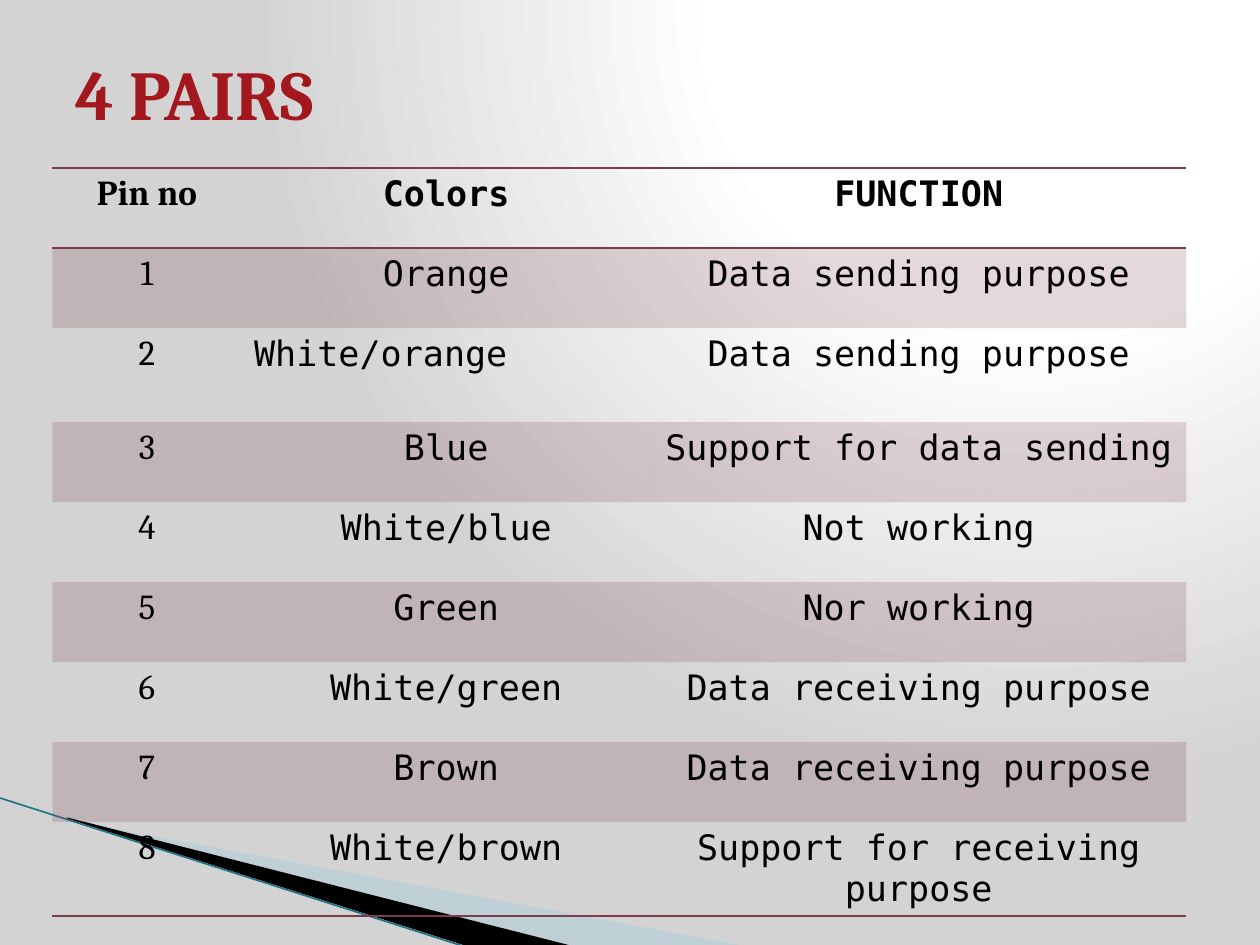
from dataclasses import dataclass

from lxml import etree
from pptx import Presentation
from pptx.dml.color import RGBColor
from pptx.enum.shapes import MSO_CONNECTOR
from pptx.enum.text import MSO_ANCHOR, PP_ALIGN
from pptx.oxml import parse_xml
from pptx.oxml.ns import nsdecls, qn
from pptx.util import Pt

LEFT = PP_ALIGN.LEFT
CENTER = PP_ALIGN.CENTER
MIDDLE = MSO_ANCHOR.MIDDLE
STRAIGHT = MSO_CONNECTOR.STRAIGHT

BLACK = RGBColor(0x00, 0x00, 0x00)
RED = RGBColor(0xA3, 0x17, 0x1E)
MAROON = RGBColor(0x7D, 0x3C, 0x4A)
PALE_BLUE = RGBColor(0xA0, 0xCB, 0xDC)
TEAL = RGBColor(0x1F, 0x74, 0x89)

SERIF = "Cambria"
MONO = "DejaVu Sans Mono"
PLAIN_TABLE_STYLE = "{2D5ABB26-0587-4C30-8999-92F81FD0307C}"
COLUMN_WIDTHS = (108, 234, 306)
ROW_HEIGHT = 45.75
TALL_ROW_HEIGHT = 53.7


@dataclass
class Wedge:
    points: list[tuple[float, float]]
    color: RGBColor
    opacity: int


@dataclass
class Pin:
    number: str
    color: str
    function: str
    height: float = ROW_HEIGHT
    color_alignment: PP_ALIGN = CENTER


WEDGES = [
    Wedge([(39.6, 468.72), (428.4, 540.72), (328.32, 540.72), (39.6, 468)], PALE_BLUE, 40),
    Wedge([(38.16, 467.28), (329.04, 540.72), (267.84, 541.44), (38.88, 468)], BLACK, 100),
]

PINS = [
    Pin("Pin no", "Colors", "FUNCTION"),
    Pin("1", "Orange", "Data sending purpose"),
    Pin("2", "White/orange", "Data sending purpose", TALL_ROW_HEIGHT, LEFT),
    Pin("3", "Blue", "Support for data sending"),
    Pin("4", "White/blue", "Not working"),
    Pin("5", "Green", "Nor working"),
    Pin("6", "White/green", "Data receiving purpose"),
    Pin("7", "Brown", "Data receiving purpose"),
    Pin("8", "White/brown", "Support for receiving purpose", TALL_ROW_HEIGHT),
]


def set_background(slide) -> None:
    stops = "".join(
        f'<a:gs pos="{position * 1000}"><a:srgbClr val="{color}"/></a:gs>'
        for position, color in ((0, "FFFFFF"), (40, "FFFFFF"), (100, "D3D3D3"))
    )
    slide.element.cSld.insert(0, parse_xml(
        f'<p:bg {nsdecls("p", "a")}><p:bgPr><a:gradFill rotWithShape="1">'
        f'<a:gsLst>{stops}</a:gsLst><a:path path="circle">'
        '<a:fillToRect l="65000" b="98000"/></a:path></a:gradFill>'
        '<a:effectLst/></p:bgPr></p:bg>'
    ))


def set_opacity(properties, percent: int) -> None:
    color = properties.find(f'{qn("a:solidFill")}/{qn("a:srgbClr")}')
    etree.SubElement(color, qn("a:alpha")).set("val", str(percent * 1000))


def draw_wedge(slide, wedge: Wedge) -> None:
    start, *others = wedge.points
    builder = slide.shapes.build_freeform(*start, scale=Pt(1))
    builder.add_line_segments(others)
    shape = builder.convert_to_shape()
    shape.shadow.inherit = False
    shape.fill.solid()
    shape.fill.fore_color.rgb = wedge.color
    set_opacity(shape.element.spPr, wedge.opacity)
    shape.line.fill.background()


def draw_edge(slide) -> None:
    edge = slide.shapes.add_connector(STRAIGHT, Pt(-0.72), Pt(455.76), Pt(267.12), Pt(541.44))
    edge.line.color.rgb = TEAL
    edge.line.width = Pt(0.95)
    etree.SubElement(edge.element.spPr, qn("a:effectLst"))


def add_border(cell, tag: str) -> None:
    cell._tc.get_or_add_tcPr().append(parse_xml(
        f'<a:{tag} {nsdecls("a")} w="{Pt(1)}"><a:solidFill>'
        f'<a:srgbClr val="{MAROON}"/></a:solidFill></a:{tag}>'
    ))


def fill_cell(cell, row: int) -> None:
    if row == 0:
        add_border(cell, "lnT")
    if row in (0, len(PINS) - 1):
        add_border(cell, "lnB")
    if row % 2:
        cell.fill.solid()
        cell.fill.fore_color.rgb = MAROON
        set_opacity(cell._tc.tcPr, 20)
    else:
        cell.fill.background()


def write_cell(cell, text: str, font_name: str, alignment: PP_ALIGN, bold: bool) -> None:
    cell.text = text
    paragraph = cell.text_frame.paragraphs[0]
    paragraph.alignment = alignment
    paragraph.font.name = font_name
    paragraph.font.size = Pt(20)
    paragraph.font.bold = bold
    paragraph.font.color.rgb = BLACK


def draw_table(slide) -> None:
    frame = slide.shapes.add_table(
        len(PINS), len(COLUMN_WIDTHS), Pt(30), Pt(96),
        Pt(sum(COLUMN_WIDTHS)), Pt(sum(pin.height for pin in PINS)),
    )
    table = frame.table
    table.first_row = table.horz_banding = False
    table._tbl.tblPr.find(qn("a:tableStyleId")).text = PLAIN_TABLE_STYLE
    for column, width in zip(table.columns, COLUMN_WIDTHS):
        column.width = Pt(width)
    for row, pin in enumerate(PINS):
        table.rows[row].height = Pt(pin.height)
        contents = (
            (pin.number, SERIF, CENTER),
            (pin.color, MONO, pin.color_alignment),
            (pin.function, MONO, CENTER),
        )
        for column, content in enumerate(contents):
            cell = table.cell(row, column)
            fill_cell(cell, row)
            write_cell(cell, *content, bold=row == 0)


def write_title(slide) -> None:
    title = slide.shapes.title
    title.left, title.top, title.width, title.height = Pt(36), Pt(21.6), Pt(648), Pt(62.64)
    title.text_frame.text = "4 PAIRS"
    title.text_frame.vertical_anchor = MIDDLE
    paragraph = title.text_frame.paragraphs[0]
    paragraph.alignment = LEFT
    paragraph.font.name = SERIF
    paragraph.font.size = Pt(40)
    paragraph.font.bold = True
    paragraph.font.color.rgb = RED


def main() -> None:
    presentation = Presentation()
    presentation.slide_width, presentation.slide_height = Pt(720), Pt(540)
    slide = presentation.slides.add_slide(presentation.slide_layouts[5])
    set_background(slide)
    for wedge in WEDGES:
        draw_wedge(slide, wedge)
    draw_edge(slide)
    draw_table(slide)
    write_title(slide)
    presentation.save("out.pptx")


if __name__ == "__main__":
    main()
